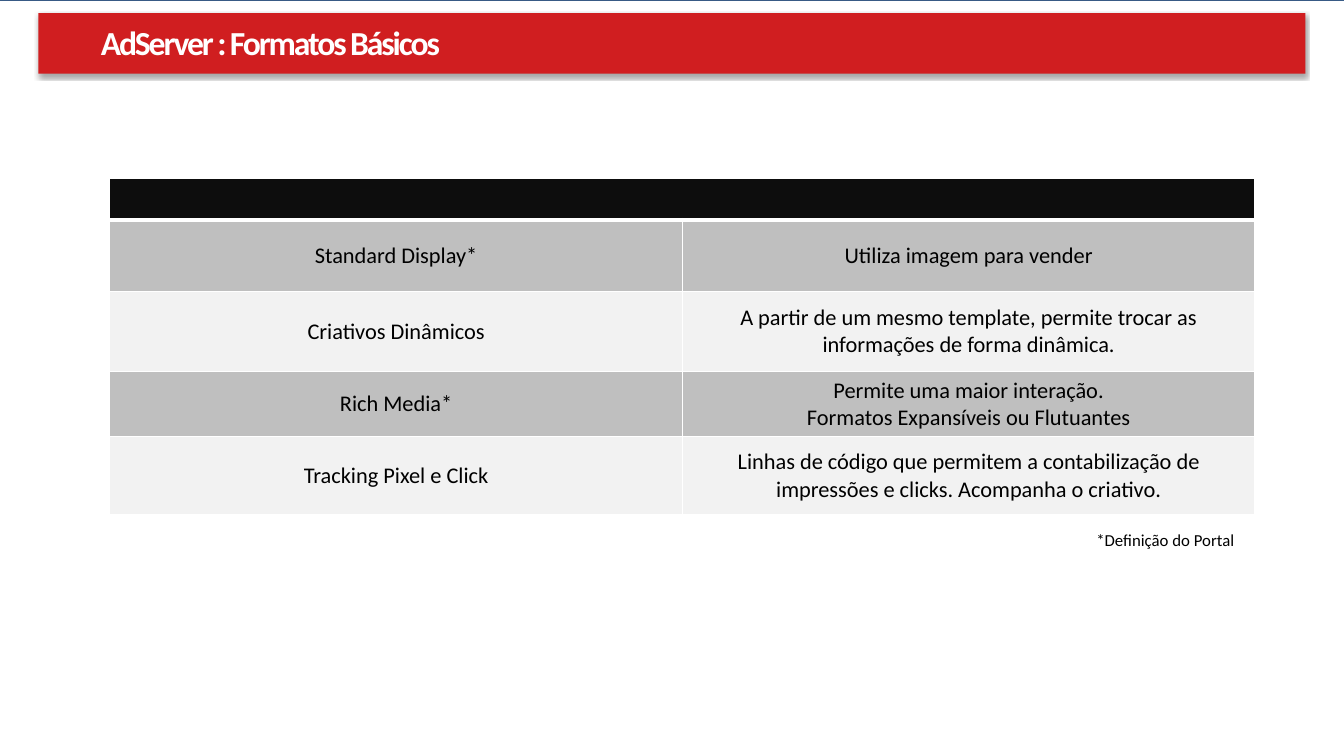
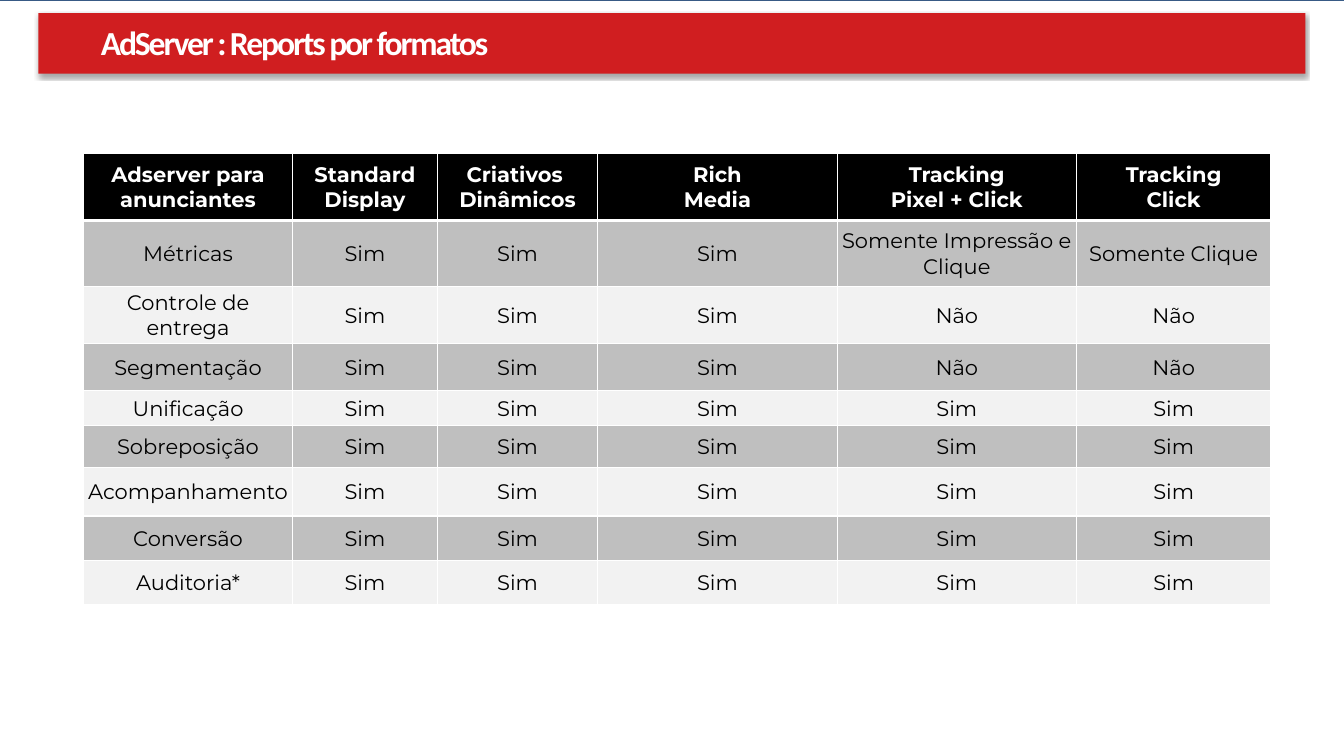
from lxml import etree
from pptx import Presentation
from pptx.dml.color import RGBColor
from pptx.enum.shapes import MSO_SHAPE
from pptx.enum.text import MSO_ANCHOR, MSO_AUTO_SIZE, PP_ALIGN
from pptx.oxml.ns import qn
from pptx.util import Pt

RECT = MSO_SHAPE.RECTANGLE
MIDDLE, TOP = MSO_ANCHOR.MIDDLE, MSO_ANCHOR.TOP
CENTER, LEFT = PP_ALIGN.CENTER, PP_ALIGN.LEFT
GROW = MSO_AUTO_SIZE.SHAPE_TO_FIT_TEXT

NAVY, RED, WHITE, BLACK = "1F497D", "D01E20", "FFFFFF", "000000"
INK, GRAY, PALE = "0D0D0D", "BFBFBF", "F2F2F2"


def rgb(color):
    return RGBColor.from_string(color)


def sub(parent, tag, **attrs):
    e = etree.SubElement(parent, qn(tag))
    for name, value in attrs.items():
        e.set(name, str(value))
    return e


class Deck:
    font = "Calibri"

    def __init__(self):
        self.prs = Presentation()
        self.prs.slide_width, self.prs.slide_height = Pt(960), Pt(540)

    def slide(self, title):
        self.s = self.prs.slides.add_slide(self.prs.slide_layouts[6])
        fill = self.s.background.fill
        fill.solid()
        fill.fore_color.rgb = rgb(NAVY)
        self.rect(0, 0.7, 960, 539.3, WHITE, shadow=True)
        self.title = title

    def title_band(self):
        self.rect(27.4, 9.4, 905, 43.2, RED, shadow=True)
        sp = self.rect(60.5, 10, 848, 40.4, RED)
        tf = sp.text_frame
        tf.word_wrap, tf.auto_size, tf.vertical_anchor = True, GROW, TOP
        tf.margin_left = tf.margin_right = Pt(11.5)
        tf.margin_top = tf.margin_bottom = Pt(5.8)
        p = tf.paragraphs[0]
        p.alignment = LEFT
        r = self.run(p, self.title, 24, WHITE, bold=True)
        r.font._element.set("spc", "-150")

    def rect(self, x, y, w, h, color, shadow=False):
        sp = self.s.shapes.add_shape(RECT, Pt(x), Pt(y), Pt(w), Pt(h))
        sp.fill.solid()
        sp.fill.fore_color.rgb = rgb(color)
        sp.line.fill.background()
        sp.shadow.inherit = False
        if shadow:
            effects = sp._element.spPr.find(qn("a:effectLst"))
            outer = sub(effects, "a:outerShdw", blurRad=Pt(3.1), dist=Pt(1.8),
                        dir=5400000, rotWithShape=0)
            sub(sub(outer, "a:srgbClr", val=BLACK), "a:alpha", val=35000)
        return sp

    def run(self, p, text, size, color, bold=False, font=None):
        r = p.add_run()
        r.text = text
        r.font.name = font or self.font
        r.font.size, r.font.bold = Pt(size), bold
        r.font.color.rgb = rgb(color)
        return r

    def note(self, x, y, w, h, text):
        sp = self.s.shapes.add_textbox(Pt(x), Pt(y), Pt(w), Pt(h))
        tf = sp.text_frame
        tf.word_wrap, tf.auto_size = False, GROW
        self.run(tf.paragraphs[0], text, 12, BLACK)

    def borders(self, cell, row):
        tcPr = cell._tc.get_or_add_tcPr()
        widths = {"L": 1, "R": 1, "T": 3 if row == 1 else 1, "B": 3 if row == 0 else 1}
        for side, width in widths.items():
            ln = sub(tcPr, f"a:ln{side}", w=Pt(width))
            sub(sub(ln, "a:solidFill"), "a:srgbClr", val=WHITE)

    def table(self, x, y, cols, heights, rows, header, size, font, margins=None):
        shape = self.s.shapes.add_table(len(rows), len(cols), Pt(x), Pt(y),
                                        Pt(sum(cols)), Pt(sum(heights)))
        t = shape.table
        t.first_row = t.horz_banding = False
        for col, width in zip(t.columns, cols):
            col.width = Pt(width)
        for i, (texts, height) in enumerate(zip(rows, heights)):
            t.rows[i].height = Pt(height)
            fill = header if i == 0 else GRAY if i % 2 else PALE
            for j, text in enumerate(texts):
                cell = t.cell(i, j)
                self.borders(cell, i)
                cell.fill.solid()
                cell.fill.fore_color.rgb = rgb(fill)
                cell.vertical_anchor = MIDDLE
                if margins is not None:
                    cell.margin_left = cell.margin_right = cell.margin_top = Pt(margins)
                    cell.margin_bottom = Pt(0)
                self.cell_text(cell.text_frame, text, size, font, i == 0)
        return t

    def cell_text(self, tf, text, size, font, head):
        color = WHITE if head else BLACK
        for k, paragraph in enumerate(text.split("\n")):
            p = tf.add_paragraph() if k else tf.paragraphs[0]
            p.alignment = CENTER
            for n, line in enumerate(paragraph.split("\v")):
                if n:
                    p.add_line_break()
                if line:
                    self.run(p, line, size, color, head, font)


def formats(deck):
    deck.slide("AdServer : Formatos Básicos")
    rows = [
        ("", ""),
        ("Standard Display*", "Utiliza imagem para vender"),
        ("Criativos Dinâmicos",
         "A partir de um mesmo template, permite trocar as informações de forma dinâmica."),
        ("Rich Media*", "Permite uma maior interação.\vFormatos Expansíveis ou Flutuantes"),
        ("Tracking Pixel e Click",
         "Linhas de código que permitem a contabilização de impressões e clicks. "
         "Acompanha o criativo."),
    ]
    t = deck.table(78.5, 127.5, [409, 409], [29.5, 51, 57.5, 46, 56], rows,
                   INK, 16, "Calibri")
    t.cell(0, 0).merge(t.cell(0, 1))
    deck.note(776, 375, 120, 21.8, "*Definição do Portal")
    deck.title_band()


def reports(deck):
    deck.slide("AdServer : Reports por formatos")
    yes, no = "Sim", "Não"
    rows = [
        ("Adserver para anunciantes", "Standard Display", "Criativos \nDinâmicos",
         "Rich\nMedia", "Tracking\nPixel + Click", "Tracking\nClick"),
        ("Métricas", yes, yes, yes, "Somente Impressão e Clique", "Somente Clique"),
        ("Controle de entrega", yes, yes, yes, no, no),
        ("Segmentação", yes, yes, yes, no, no),
    ]
    rows += [(name,) + (yes,) * 5 for name in (
        "Unificação", "Sobreposição", "Acompanhamento", "Conversão", "Auditoria*")]
    deck.table(59.8, 109.5, [149, 103.7, 114.5, 171, 171, 138.8],
               [48, 47, 41, 33.7, 24.5, 30.5, 34.5, 31.8, 31.8], rows,
               BLACK, 15, "Montserrat", margins=0.7)
    deck.title_band()


def main():
    deck = Deck()
    formats(deck)
    reports(deck)
    deck.prs.save("out.pptx")


if __name__ == "__main__":
    main()
